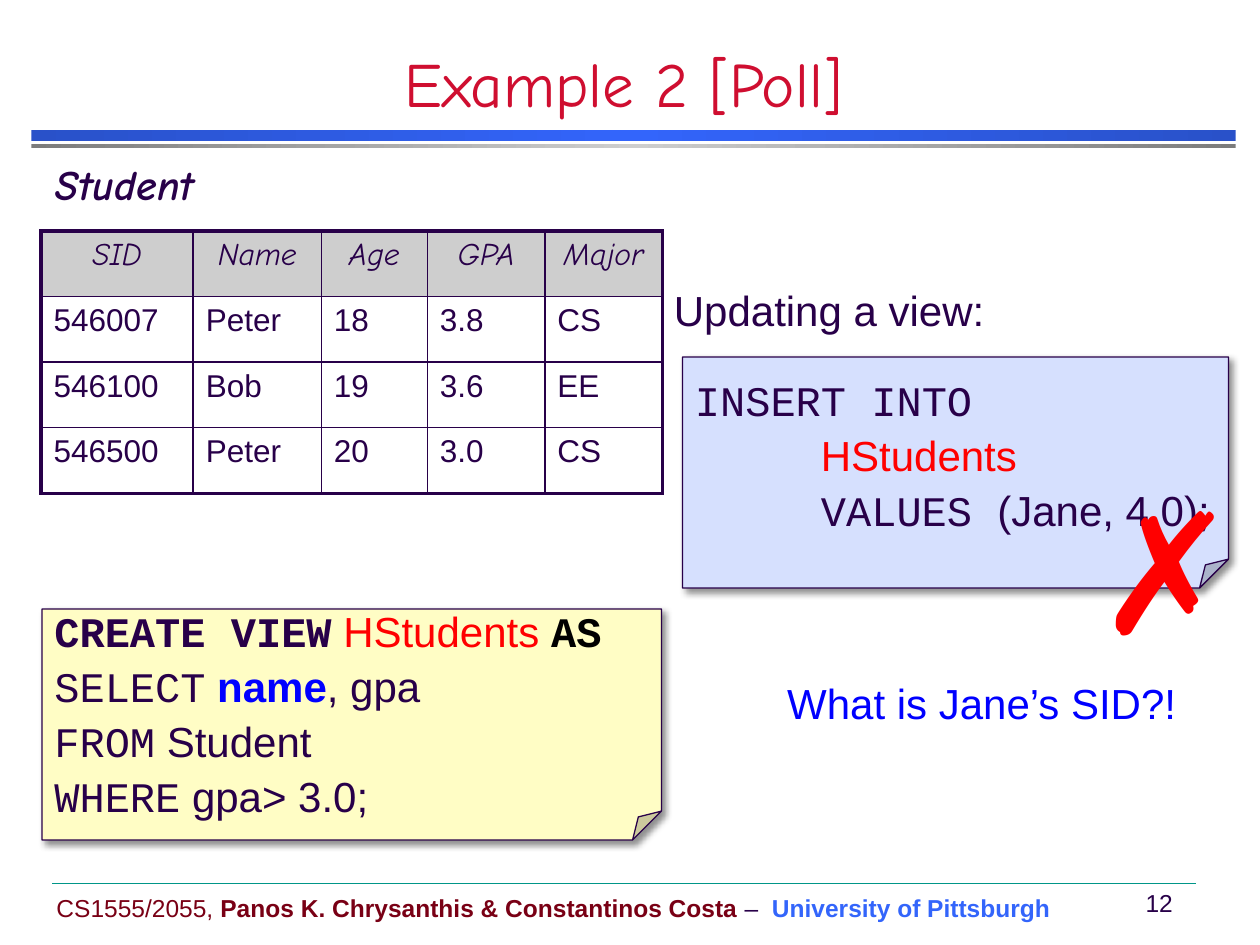
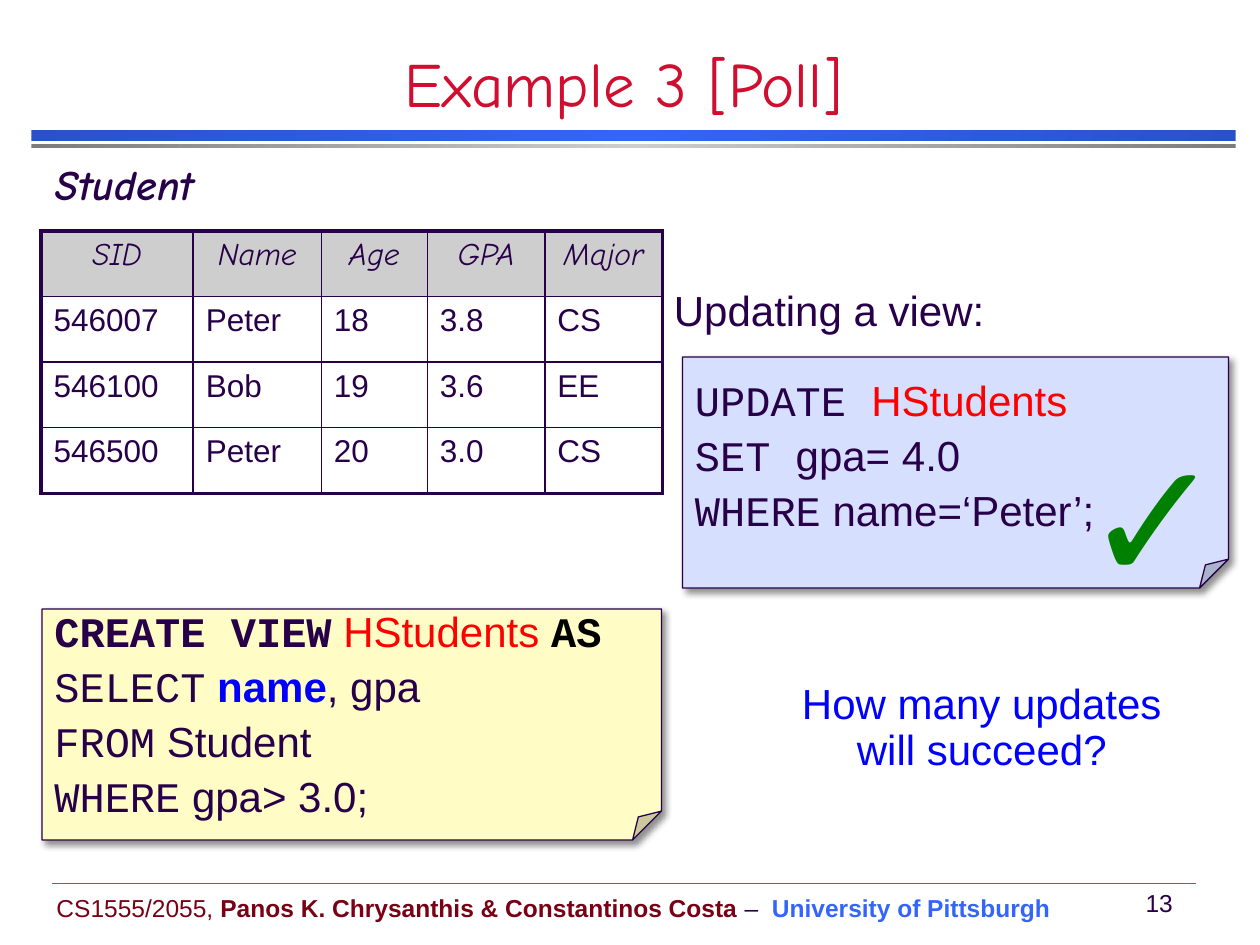
"""Builds two poll slides about updating a database view."""
import pptx
import pptx.dml.color
import pptx.enum.shapes
import pptx.enum.text
import pptx.oxml
import pptx.oxml.ns
import pptx.util

INK, RED, BLUE, GREEN, BLACK = "280049", "FF0000", "0000FF", "008000", "000000"
TITLE_RED, MAROON, SKY, TEAL, GREY = "CF0E30", "790015", "3365FB", "009688", "CECECE"
YELLOW_NOTE, BLUE_NOTE = "FFFDC5", "D6E0FE"
SANS, HAND, CODE = "Arial", "Comic Neue", "Courier New"
GRID = 12
SLIDE_SIZE = (10 * GRID, 7.5 * GRID)
LEFT, CENTER = pptx.enum.text.PP_ALIGN.LEFT, pptx.enum.text.PP_ALIGN.CENTER
TOP, MIDDLE, BOTTOM = (pptx.enum.text.MSO_ANCHOR.TOP, pptx.enum.text.MSO_ANCHOR.MIDDLE,
                       pptx.enum.text.MSO_ANCHOR.BOTTOM)

STYLES = {
    "plain": (SANS, INK, False),
    "code": (CODE, INK, False),
    "code bold": (CODE, INK, True),
    "code black": (CODE, BLACK, True),
    "view": (SANS, RED, False),
    "column": (SANS, BLUE, True),
    "question": (SANS, BLUE, False),
    "yes": (SANS, GREEN, False),
    "title": (HAND, TITLE_RED, False),
    "relation": (HAND, INK, True),
    "course": (SANS, MAROON, False),
    "authors": (SANS, MAROON, True),
    "school": (SANS, SKY, True),
}

BANDS = [((3, 12.4, 114.7, 1), ("2951C9", SKY, "2951C9")),
         ((3, 13.7, 114.7, 0.4), ("7C7C7C", GREY, "7C7C7C"))]
FOOTER = [("CS1555/2055, ", "course"), ("Panos K. Chrysanthis & Constantinos Costa", "authors"),
          (" –  ", "plain"), ("University of Pittsburgh", "school")]
STUDENTS = [
    ("SID", "Name", "Age", "GPA", "Major"),
    ("546007", "Peter", "18", "3.8", "CS"),
    ("546100", "Bob", "19", "3.6", "EE"),
    ("546500", "Peter", "20", "3.0", "CS"),
]
COLUMN_WIDTHS = (14.5, 12.2, 10.1, 11.2, 11.2)
ROW_HEIGHT = 6.25
VIEW_DEFINITION = [
    [("CREATE VIEW", "code bold"), (" HStudents ", "view"), ("AS", "code black")],
    [("SELECT", "code"), (" ", "plain"), ("name", "column"), (", gpa", "plain")],
    [("FROM", "code"), (" Student", "plain")],
    [("WHERE", "code"), (" gpa> 3.0;", "plain")],
]
POLLS = [
    {
        "title": "Example 2 [Poll]", "number": "12",
        "statement": [
            [("INSERT INTO", "code")],
            [("HStudents", "view")],
            [("VALUES ", "code"), ("(Jane, 4.0);", "plain")],
        ],
        "indents": (0, GRID, GRID),
        "question": "What is Jane’s SID?!",
        "verdict": ("✗", "view"), "verdict_box": (103.3, 46, 14.6, 20.6),
    },
    {
        "title": "Example 3 [Poll]", "number": "13",
        "statement": [
            [("UPDATE ", "code"), ("HStudents", "view")],
            [("SET ", "code"), ("gpa= 4.0", "plain")],
            [("WHERE", "code"), (" name=‘Peter’;", "plain")],
        ],
        "indents": (0, 0, 0),
        "question": "How many updates will succeed?",
        "verdict": ("✓", "yes"), "verdict_box": (102, 41, 14, 18.7),
    },
]


def color(value):
    return pptx.dml.color.RGBColor.from_string(value)


def cells(count):
    return pptx.util.Inches(count / GRID)


def place(box):
    return [cells(count) for count in box]


def xml(tag, body, attributes=""):
    namespace = pptx.oxml.ns.nsdecls("a")
    return pptx.oxml.parse_xml(f"<a:{tag} {namespace} {attributes}>{body}</a:{tag}>")


def write(frame, lines, size=24, align=LEFT, anchor=TOP, tight=True, indents=()):
    frame.word_wrap = True
    frame.vertical_anchor = anchor
    for index, line in enumerate(lines):
        paragraph = frame.add_paragraph() if index else frame.paragraphs[0]
        paragraph.alignment = align
        paragraph.font.size = pptx.util.Pt(size)
        if tight:
            paragraph.line_spacing = 0.9
            paragraph.space_before = pptx.util.Pt(round(size * 0.23, 1))
        if indents and indents[index]:
            properties = paragraph._p.get_or_add_pPr()
            properties.set("marL", str(cells(indents[index])))
            properties.set("indent", "0")
        for text, style in line:
            run = paragraph.add_run()
            run.text = text
            run.font.name, shade, run.font.bold = STYLES[style]
            run.font.color.rgb = color(shade)


def add_text(slide, box, line, **options):
    frame = slide.shapes.add_textbox(*place(box)).text_frame
    write(frame, [line], **options)
    return frame


def add_band(slide, box, shades):
    band = slide.shapes.add_shape(pptx.enum.shapes.MSO_SHAPE.RECTANGLE, *place(box))
    band.shadow.inherit = False
    band.line.fill.background()
    stops = "".join(f'<a:gs pos="{index * 50000}"><a:srgbClr val="{shade}"/></a:gs>'
                    for index, shade in enumerate(shades))
    gradient = xml("gradFill", f'<a:gsLst>{stops}</a:gsLst><a:lin ang="0" scaled="0"/>')
    band._element.spPr.find(pptx.oxml.ns.qn("a:prstGeom")).addnext(gradient)


def add_frame(slide, title, number):
    for box, shades in BANDS:
        add_band(slide, box, shades)
    rule = slide.shapes.add_connector(pptx.enum.shapes.MSO_CONNECTOR.STRAIGHT,
                                      *place((5, 84.1, 113.9, 84.1)))
    rule.line.color.rgb = color(TEAL)
    rule.line.width = pptx.util.Pt(0.25)
    rule._element.spPr.append(xml("effectLst", ""))
    add_text(slide, (4.2, 84.4, 97.2, 4), FOOTER, size=14, anchor=MIDDLE, tight=False)
    add_text(slide, (107.4, 84, 6, 4), [(number, "plain")], size=14, align=CENTER,
             anchor=MIDDLE, tight=False)
    add_text(slide, (0, 5, 118.8, 7), [(title, "title")], size=36, align=CENTER,
             anchor=BOTTOM, tight=False)


def add_note(slide, box, fill, lines, indents=()):
    note = slide.shapes.add_shape(pptx.enum.shapes.MSO_SHAPE.FOLDED_CORNER, *place(box))
    geometry = note._element.spPr.find(pptx.oxml.ns.qn("a:prstGeom"))
    for guides in geometry.findall(pptx.oxml.ns.qn("a:avLst")):
        geometry.remove(guides)
    geometry.append(xml("avLst", '<a:gd name="adj" fmla="val 12500"/>'))
    note.fill.solid()
    note.fill.fore_color.rgb = color(fill)
    note.line.color.rgb = color(INK)
    note.line.width = pptx.util.Pt(0.75)
    note.shadow.inherit = False
    effects = note._element.spPr.find(pptx.oxml.ns.qn("a:effectLst"))
    effects.append(xml(
        "outerShdw", f'<a:srgbClr val="{BLACK}"><a:alpha val="43000"/></a:srgbClr>',
        f'blurRad="{pptx.util.Pt(4)}" dist="{pptx.util.Pt(3)}" dir="2700000" rotWithShape="0"'))
    write(note.text_frame, lines, anchor=MIDDLE, indents=indents)
    return note.text_frame


def add_students(slide):
    rows, columns = len(STUDENTS), len(COLUMN_WIDTHS)
    box = (3.9, 22, sum(COLUMN_WIDTHS), rows * ROW_HEIGHT)
    table = slide.shapes.add_table(rows, columns, *place(box)).table
    table.first_row = table.horz_banding = False
    for column, width in zip(table.columns, COLUMN_WIDTHS):
        column.width = cells(width)
    for row_index, record in enumerate(STUDENTS):
        table.rows[row_index].height = cells(ROW_HEIGHT)
        header = row_index == 0
        for column_index, value in enumerate(record):
            cell = table.cell(row_index, column_index)
            outer = {"lnL": column_index == 0, "lnR": column_index == columns - 1,
                     "lnT": header, "lnB": row_index == rows - 1}
            for side, thick in outer.items():
                width = pptx.util.Pt(2.25 if thick else 1)
                cell._tc.get_or_add_tcPr().append(xml(
                    side, f'<a:solidFill><a:srgbClr val="{INK}"/></a:solidFill>', f'w="{width}"'))
            if header:
                cell.fill.solid()
                cell.fill.fore_color.rgb = color(GREY)
            else:
                cell.fill.background()
            paragraph = cell.text_frame.paragraphs[0]
            paragraph.text = value
            paragraph.alignment = CENTER if header else LEFT
            paragraph.space_before, paragraph.space_after = pptx.util.Pt(4), pptx.util.Pt(3)
            font = paragraph.font
            font.name, font.size = HAND if header else SANS, pptx.util.Pt(18)
            font.italic, font.bold = header, False
            font.color.rgb = color(INK)


def add_poll(presentation, poll):
    slide = presentation.slides.add_slide(presentation.slide_layouts[6])
    add_frame(slide, poll["title"], poll["number"])
    definition = add_note(slide, (4, 58, 59, 22), YELLOW_NOTE, VIEW_DEFINITION)
    definition.margin_top, definition.margin_bottom = pptx.util.Inches(0.1), 0
    add_note(slide, (65, 34, 52, 22), BLUE_NOTE, poll["statement"], poll["indents"])
    add_text(slide, (63, 27, 40.3, 5.6), [("Updating a view:", "plain")])
    relation = add_text(slide, (4.1, 15, 32, 5.6), [("Student", "relation")])
    relation.paragraphs[0].runs[0].font.italic = True
    add_text(slide, (73, 64.5, 41, 10), [(poll["question"], "question")], align=CENTER)
    add_students(slide)
    add_text(slide, poll["verdict_box"], [poll["verdict"]], size=96)


def main():
    presentation = pptx.Presentation()
    presentation.slide_width, presentation.slide_height = place(SLIDE_SIZE)
    for poll in POLLS:
        add_poll(presentation, poll)
    presentation.save("out.pptx")


if __name__ == "__main__":
    main()
